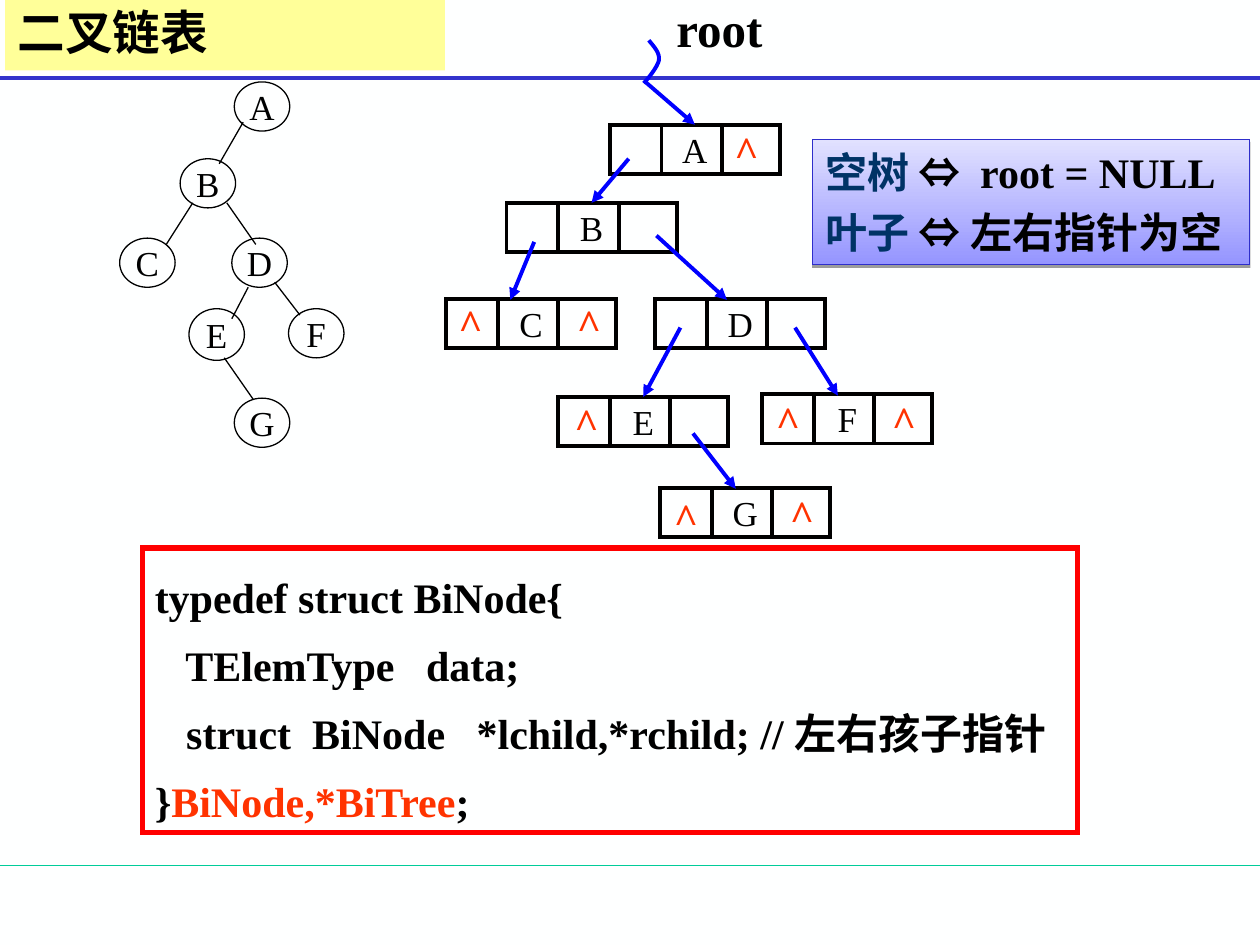
from lxml import etree
from pptx import Presentation
from pptx.dml.color import RGBColor
from pptx.enum.shapes import MSO_CONNECTOR, MSO_SHAPE
from pptx.enum.text import MSO_ANCHOR, MSO_AUTO_SIZE, PP_ALIGN
from pptx.oxml.ns import qn
from pptx.util import Inches, Pt

STRAIGHT = MSO_CONNECTOR.STRAIGHT
RECTANGLE, OVAL = MSO_SHAPE.RECTANGLE, MSO_SHAPE.OVAL
TOP, MIDDLE = MSO_ANCHOR.TOP, MSO_ANCHOR.MIDDLE
LEFT, CENTER, JUSTIFY = PP_ALIGN.LEFT, PP_ALIGN.CENTER, PP_ALIGN.JUSTIFY
FIXED_SIZE = MSO_AUTO_SIZE.NONE

SERIF, SANS, CHINESE = "Times New Roman", "Arial", "Noto Sans CJK SC"
BLACK, BLUE, ORANGE, NAVY = "000000", "0000FF", "FF3300", "003366"

TREE_NODES = {
    "A": (1.86, 0.65, 0.39), "B": (1.43, 1.26, 0.39), "C": (0.95, 1.89, 0.39),
    "D": (1.84, 1.89, 0.39), "E": (1.5, 2.45, 0.41), "F": (2.29, 2.45, 0.39),
    "G": (1.86, 3.16, 0.39),
}
TREE_EDGES = [
    ((1.93, 0.97), (1.74, 1.3)), ((1.53, 1.61), (1.32, 1.94)),
    ((1.8, 1.61), (2.03, 1.94)), ((1.97, 2.28), (1.84, 2.53)),
    ((2.18, 2.24), (2.38, 2.5)), ((1.78, 2.84), (2.01, 3.17)),
]
RECORDS = {
    "A": (4.84, 0.99), "B": (4.02, 1.61), "C": (3.54, 2.37), "D": (5.2, 2.37),
    "E": (4.43, 3.15), "F": (6.05, 3.13), "G": (5.24, 3.87),
}
RECORD_WIDTH, RECORD_HEIGHT = 1.35, 0.39
DIVIDERS = (0.41, 0.89)
POINTERS = [
    ("B", (4.99, 1.26), (4.74, 1.62)), ("C", (4.24, 1.92), (4.05, 2.38)),
    ("D", (5.21, 1.87), (5.77, 2.38)), ("E", (5.4, 2.6), (5.09, 3.14)),
    ("F", (6.31, 2.6), (6.65, 3.14)), ("G", (5.5, 3.44), (5.84, 3.88)),
    ("A", (5.11, 0.64), (5.48, 0.99)),
]
JOINED = {"A", "B", "E"}
ROOT_CURVE = [
    (5.15, 0.32), (5.19, 0.37), (5.24, 0.42), (5.23, 0.48),
    (5.22, 0.53), (5.14, 0.63), (5.11, 0.66),
]
NULL_MARKS = [
    (5.73, 0.94), (3.54, 2.31), (4.48, 2.31), (4.46, 3.1),
    (6.06, 3.08), (6.98, 3.08), (5.25, 3.85), (6.17, 3.83),
]
CODE = [
    [("typedef struct BiNode{", BLACK, SERIF)],
    [("   TElemType   data;", BLACK, SERIF)],
    [("   struct  BiNode   *lchild,*rchild; //左右孩子指针", BLACK, SERIF)],
    [("}", BLACK, SERIF), ("BiNode,*BiTree", ORANGE, SERIF), (";", BLACK, SERIF)],
]
RULES = [
    [("空树 ", NAVY, SERIF), ("⇔ ", BLACK, SANS), ("root = NULL", BLACK, SERIF)],
    [("叶子 ", NAVY, SERIF), ("⇔", BLACK, SANS), (" 左右指针为空", BLACK, SERIF)],
]


def color(value):
    return RGBColor.from_string(value)


def write(box, lines, size, bold=True, align=LEFT, anchor=TOP, wrap=True,
          line_spacing=None, gap=0):
    frame = box.text_frame
    frame.auto_size = FIXED_SIZE
    frame.word_wrap = wrap
    frame.vertical_anchor = anchor
    frame.margin_left = frame.margin_right = Inches(0.1)
    frame.margin_top = frame.margin_bottom = Inches(0.05)
    for index, spans in enumerate(lines):
        para = frame.add_paragraph() if index else frame.paragraphs[0]
        para.alignment = align
        para.space_before = Pt(gap if index else 0)
        para.space_after = Pt(gap)
        if line_spacing:
            para.line_spacing = line_spacing
        for text, hue, face in spans:
            span = para.add_run()
            span.text = text
            span.font.size = Pt(size)
            span.font.bold = bold
            span.font.color.rgb = color(hue)
            span.font.name = face
            east_asian = etree.Element(qn("a:ea"), typeface=CHINESE)
            span.font._element.find(qn("a:latin")).addnext(east_asian)


def outline(shape, hue, weight):
    shape.line.color.rgb = color(hue)
    shape.line.width = Pt(weight)
    return shape._element.spPr.find(qn("a:ln"))


def add_box(shapes, kind, left, top, width, height, hue, weight):
    box = shapes.add_shape(kind, Inches(left), Inches(top), Inches(width), Inches(height))
    box.shadow.inherit = False
    box.fill.background()
    etree.SubElement(outline(box, hue, weight), qn("a:miter"), lim="800000")
    return box


def add_label(shapes, left, top, width, height, text, hue, size, **style):
    box = shapes.add_textbox(Inches(left), Inches(top), Inches(width), Inches(height))
    write(box, [[(text, hue, SERIF)]], size, wrap=False, **style)


def add_line(shapes, start, end, hue, weight, arrow=False):
    line = shapes.add_connector(STRAIGHT, *map(Inches, start + end))
    stroke = outline(line, hue, weight)
    if arrow:
        etree.SubElement(stroke, qn("a:tailEnd"), type="triangle")
    etree.SubElement(line._element.spPr, qn("a:effectLst"))
    return line


def add_curve(shapes, points, hue, weight):
    start, *controls = [(Inches(x), Inches(y)) for x, y in points]
    builder = shapes.build_freeform(*start)
    builder.add_line_segments(controls, close=False)
    curve = builder.convert_to_shape()
    curve.shadow.inherit = False
    curve.fill.background()
    outline(curve, hue, weight)
    segments = list(curve._element.iter(qn("a:lnTo")))
    for first in range(0, len(segments), 3):
        bezier = etree.Element(qn("a:cubicBezTo"))
        segments[first].addprevious(bezier)
        for segment in segments[first:first + 3]:
            bezier.append(segment[0])
            segment.getparent().remove(segment)


def add_title(slide):
    title = slide.shapes.title
    title.left, title.top = Inches(0.04), Inches(0)
    title.width, title.height = Inches(3.49), Inches(0.56)
    title.fill.solid()
    title.fill.fore_color.rgb = color("FFFF99")
    write(title, [[("二叉链表", BLACK, CHINESE)]], 27.2, anchor=MIDDLE, line_spacing=0.9)


def add_tree(shapes):
    for name, (left, top, height) in TREE_NODES.items():
        node = add_box(shapes, OVAL, left, top, 0.44, height, BLACK, 0.75)
        write(node, [[(name, BLACK, SERIF)]], 20, False, CENTER, MIDDLE, False)
    for start, end in TREE_EDGES:
        add_line(shapes, start, end, BLACK, 0.75)


def add_linked_list(shapes):
    records = {}
    for name, (left, top) in RECORDS.items():
        record = add_box(shapes, RECTANGLE, left, top, RECORD_WIDTH, RECORD_HEIGHT, BLACK, 2.25)
        write(record, [[(name, BLACK, SERIF)]], 20, False, CENTER, MIDDLE, False)
        records[name] = record
        for offset in DIVIDERS:
            x = left + offset
            add_line(shapes, (x, top), (x, top + RECORD_HEIGHT), BLACK, 2.25)
    for child, start, end in POINTERS:
        pointer = add_line(shapes, start, end, BLUE, 2.25, arrow=True)
        if child in JOINED:
            pointer.end_connect(records[child], 0)
    add_curve(shapes, ROOT_CURVE, BLUE, 2.25)
    for left, top in NULL_MARKS:
        add_label(shapes, left, top, 0.39, 0.5, "^", ORANGE, 24, align=CENTER, anchor=MIDDLE)


def add_rules(shapes):
    box = add_box(shapes, RECTANGLE, 6.45, 1.11, 3.47, 0.99, "2E2ECB", 0.75)
    box.fill.gradient()
    box.fill.gradient_angle = 90
    for stop, hue in zip(box.fill.gradient_stops, ("9595FF", "E1E1FF")):
        stop.color.rgb = color(hue)
    effects = box._element.spPr.find(qn("a:effectLst"))
    shadow = etree.SubElement(effects, qn("a:outerShdw"), blurRad="0",
                              dist=str(Pt(1.6)), dir="5400000", rotWithShape="0")
    shade = etree.SubElement(shadow, qn("a:srgbClr"), val=BLACK)
    etree.SubElement(shade, qn("a:alpha"), val="38000")
    write(box, RULES, 24, align=JUSTIFY, gap=3)


def main():
    deck = Presentation()
    deck.slide_width, deck.slide_height = Inches(10), Inches(7.5)
    slide = deck.slides.add_slide(deck.slide_layouts[5])
    slide.background.fill.solid()
    slide.background.fill.fore_color.rgb = color("FEFFFF")
    shapes = slide.shapes
    add_line(shapes, (0, 6.87), (10, 6.87), "00CC99", 0.75)
    add_line(shapes, (0, 0.62), (10, 0.62), "3333CC", 2.25)
    add_title(slide)
    add_tree(shapes.add_group_shape().shapes)
    add_linked_list(shapes.add_group_shape().shapes)
    code_box = add_box(shapes, RECTANGLE, 1.13, 4.35, 7.42, 2.26, "FF0000", 3)
    write(code_box, CODE, 24, line_spacing=1.35)
    add_rules(shapes)
    add_label(shapes, 5.27, -0.06, 0.89, 0.57, "root", BLACK, 28)
    deck.save("out.pptx")


if __name__ == "__main__":
    main()
